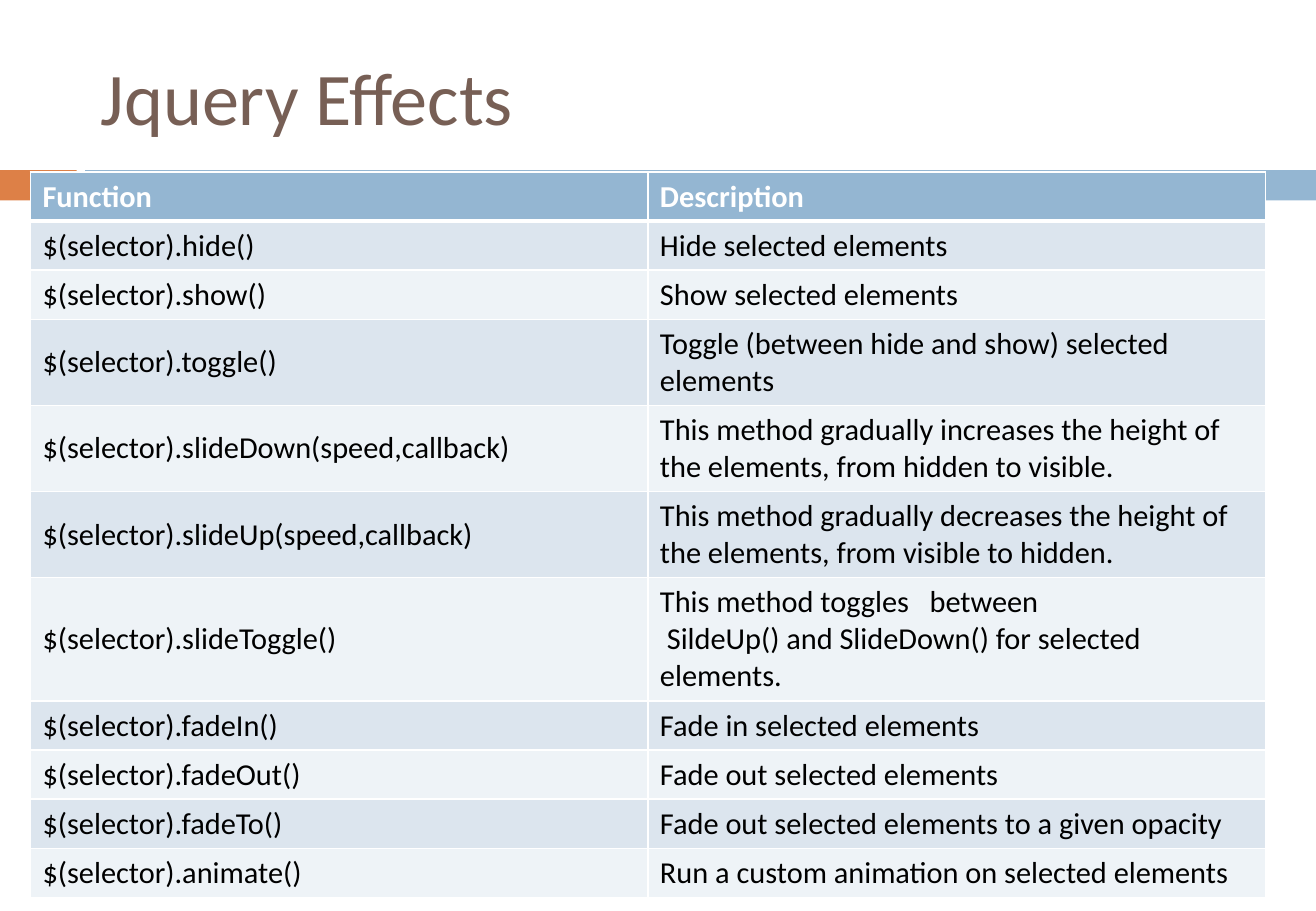
from lxml import etree
from pptx import Presentation
from pptx.dml.color import RGBColor
from pptx.enum.shapes import MSO_SHAPE
from pptx.enum.text import MSO_ANCHOR
from pptx.oxml.ns import qn
from pptx.util import Pt

RECT = MSO_SHAPE.RECTANGLE
MIDDLE = MSO_ANCHOR.MIDDLE

WHITE = RGBColor(0xFF, 0xFF, 0xFF)
BLACK = RGBColor(0x00, 0x00, 0x00)
BROWN = RGBColor(0x77, 0x5F, 0x55)
ORANGE = RGBColor(0xDD, 0x80, 0x47)
BLUE = RGBColor(0x94, 0xB6, 0xD2)
BANDS = (RGBColor(0xEE, 0xF3, 0xF7), RGBColor(0xDC, 0xE5, 0xEE))

WIDTH, HEIGHT = 780, 540
COL = 366  # width of each table column
ROW = 29.1  # height of a row with one line of text
LINE = 22  # height of each further line

# Function, description, lines of text in the row
ROWS = [
    ("Function", "Description", 1),
    ("$(selector).hide()", "Hide selected elements", 1),
    ("$(selector).show()", "Show selected elements", 1),
    ("$(selector).toggle()",
     "Toggle (between hide and show) selected elements", 2),
    ("$(selector).slideDown(speed,callback)",
     "This method gradually increases the height of the elements, "
     "from hidden to visible.", 2),
    ("$(selector).slideUp(speed,callback)",
     "This method gradually decreases the height of the elements, "
     "from visible to hidden.", 2),
    ("$(selector).slideToggle()",
     "This method toggles   between \u00a0SildeUp()\u00a0and\u00a0"
     "SlideDown()\u00a0for selected elements.", 3),
    ("$(selector).fadeIn()", "Fade in selected elements", 1),
    ("$(selector).fadeOut()", "Fade out selected elements", 1),
    ("$(selector).fadeTo()", "Fade out selected elements to a given opacity", 1),
    ("$(selector).animate()", "Run a custom animation on selected elements", 1),
]


class Deck:
    """Holds the style and the current slide."""

    font = "Calibri"

    def __init__(self, slide):
        """Draw on the given slide."""
        self.slide = slide

    def add_text(self, frame, text, size, color, bold=False):
        """Add one styled run to a text frame."""
        run = frame.paragraphs[0].add_run()
        run.text = text
        font = run.font
        font.name, font.size, font.bold = self.font, Pt(size), bold
        font.color.rgb = color

    def bar(self, left, top, width, height, color):
        """Add a plain filled rectangle."""
        box = (Pt(v) for v in (left, top, width, height))
        shape = self.slide.shapes.add_shape(RECT, *box)
        shape.shadow.inherit = False
        shape.fill.solid()
        shape.fill.fore_color.rgb = color
        shape.line.fill.background()

    def title(self, left, top, width, height, text):
        """Add the slide title."""
        box = (Pt(v) for v in (left, top, width, height))
        frame = self.slide.shapes.add_textbox(*box).text_frame
        frame.word_wrap = True
        frame.vertical_anchor = MIDDLE
        self.add_text(frame, text, 44, BROWN)

    def edge(self, cell, top, bottom):
        """Give a cell white borders of the given top and bottom weights."""
        props = cell._tc.get_or_add_tcPr()
        sides = {"lnL": 1, "lnR": 1, "lnT": top, "lnB": bottom}
        for spot, (side, weight) in enumerate(sides.items()):
            line = etree.Element(qn("a:" + side), w=str(Pt(weight)))
            fill = etree.SubElement(line, qn("a:solidFill"))
            etree.SubElement(fill, qn("a:srgbClr"), val=str(WHITE))
            props.insert(spot, line)

    def table(self, left, top, rows):
        """Add a two-column table with a header and banded rows."""
        highs = [ROW + LINE * (lines - 1) for *_, lines in rows]
        grid = self.slide.shapes.add_table(
            len(rows), 2, Pt(left), Pt(top), Pt(2 * COL), Pt(sum(highs))).table
        grid.horz_banding = False
        for r, (*texts, _) in enumerate(rows):
            grid.rows[r].height = Pt(highs[r])
            head = r == 0
            for c, text in enumerate(texts):
                cell = grid.cell(r, c)
                cell.vertical_anchor = MIDDLE
                cell.fill.solid()
                cell.fill.fore_color.rgb = BLUE if head else BANDS[r % 2]
                self.edge(cell, 3 if r == 1 else 1, 3 if head else 1)
                self.add_text(cell.text_frame, text, 18,
                              WHITE if head else BLACK, head)


def main():
    """Build the slide and save it."""
    show = Presentation()
    show.slide_width, show.slide_height = Pt(WIDTH), Pt(HEIGHT)
    deck = Deck(show.slides.add_slide(show.slide_layouts[6]))
    deck.bar(0, 100.8, 45.5, 18, ORANGE)
    deck.bar(50.5, 100.8, WIDTH - 50.5, 18, BLUE)
    deck.title(52.5, 18, 695, 78, "Jquery Effects")
    deck.table(18, 102, ROWS)
    show.save("out.pptx")


main()
